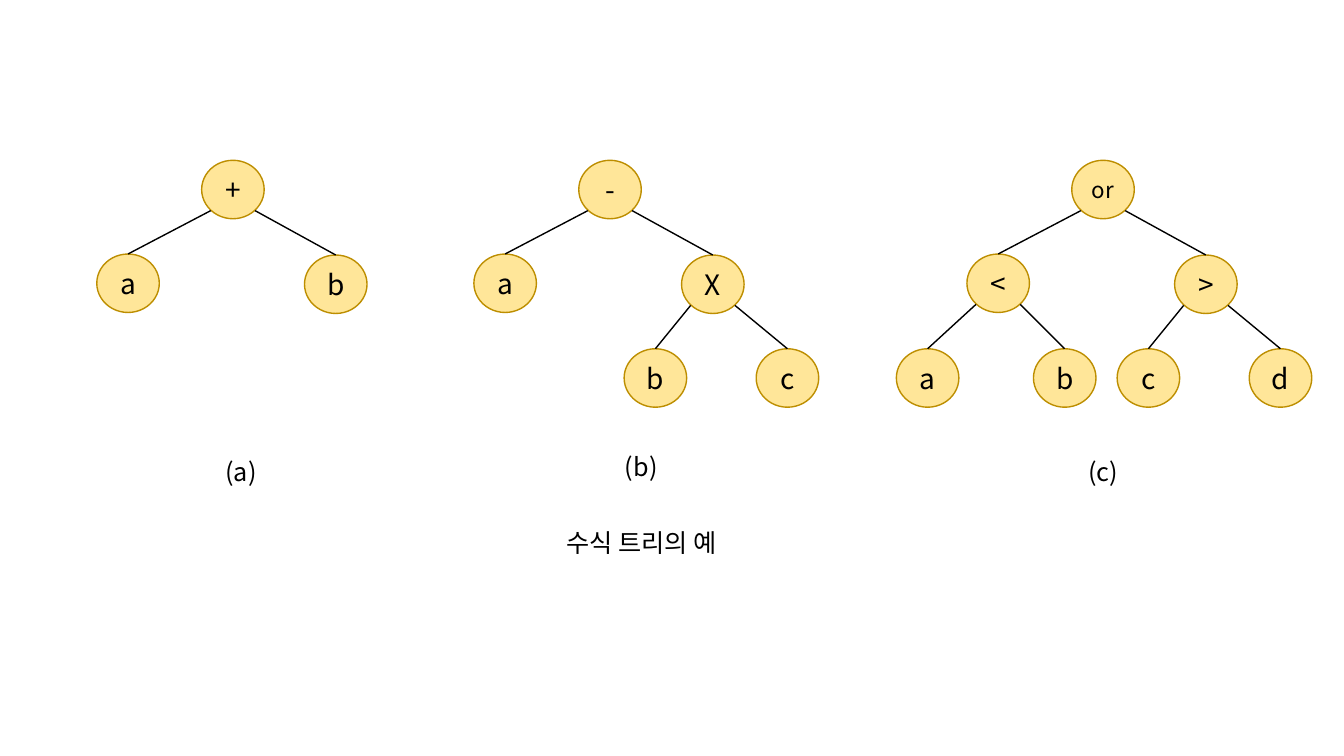
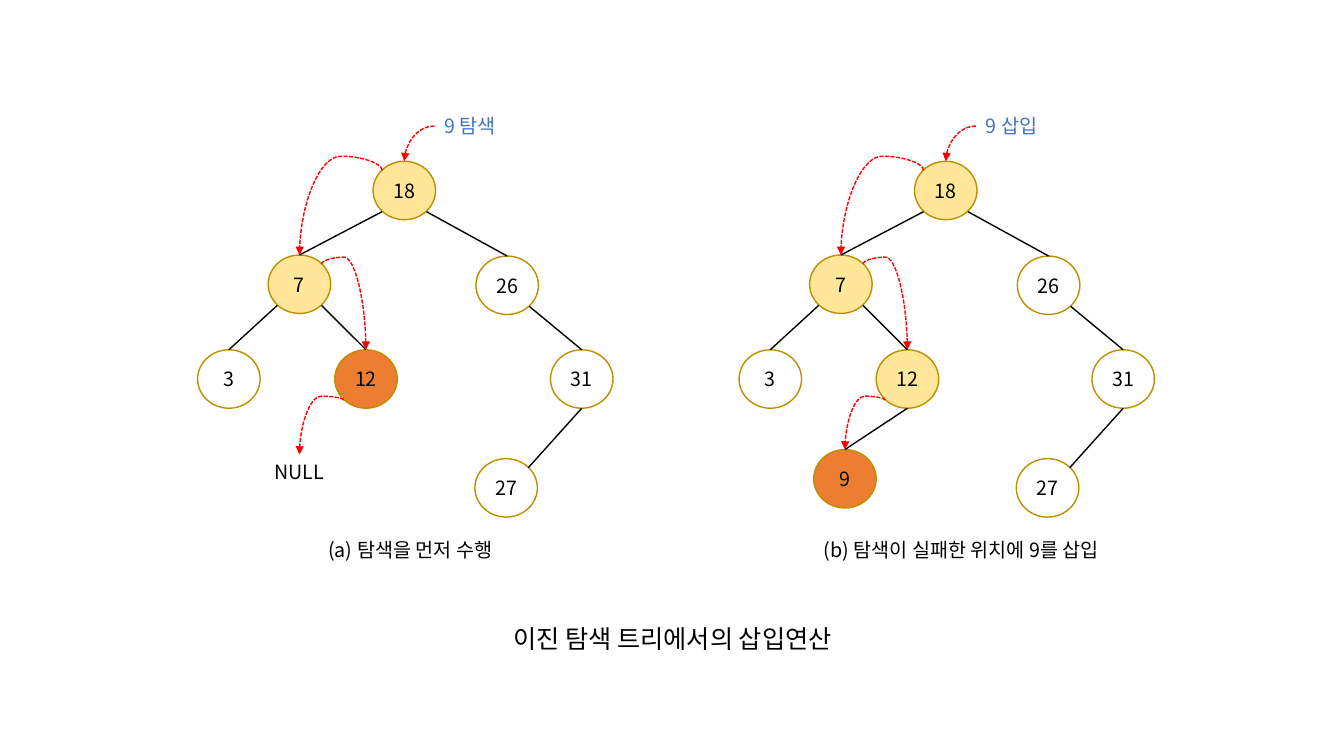
"""Build two slides of binary trees: expression trees and insertion into a search tree."""
from lxml import etree
from pptx import Presentation
from pptx.dml.color import RGBColor
from pptx.enum.dml import MSO_LINE
from pptx.enum.shapes import MSO_CONNECTOR, MSO_SHAPE
from pptx.enum.text import MSO_ANCHOR, MSO_AUTO_SIZE, PP_ALIGN
from pptx.oxml.ns import qn
from pptx.util import Pt

PX = 9144
SLIDE_WIDTH, SLIDE_HEIGHT = 1333, 750
FONT = "Noto Sans CJK KR"
BLACK = RGBColor(0x00, 0x00, 0x00)
RED = RGBColor(0xFF, 0x00, 0x00)
BLUE = RGBColor(0x44, 0x72, 0xC4)
YELLOW = RGBColor(0xFF, 0xE6, 0x99)
ORANGE = RGBColor(0xED, 0x7D, 0x31)
GOLD = RGBColor(0xBD, 0x8E, 0x00)

STRAIGHT, CURVE = MSO_CONNECTOR.STRAIGHT, MSO_CONNECTOR.CURVE
CIRCLE = MSO_SHAPE.FLOWCHART_CONNECTOR
DASH = MSO_LINE.SQUARE_DOT
LEFT, CENTER = PP_ALIGN.LEFT, PP_ALIGN.CENTER
MIDDLE = MSO_ANCHOR.MIDDLE
GROW = MSO_AUTO_SIZE.SHAPE_TO_FIT_TEXT

NODE_WIDTH, NODE_HEIGHT = 62, 58
TOP, BOTTOM = (31, 0), (31, 58)
TOP_LEFT, TOP_RIGHT = (9, 9), (53, 9)
BOTTOM_LEFT, BOTTOM_RIGHT = (9, 50), (53, 50)

# Each key spells the left and right turns from the root.
SLOTS = {
    "": (0, 0),
    "L": (-104, 93), "R": (102, 94),
    "LL": (-174, 187), "LR": (-38, 187), "RL": (45, 187), "RR": (176, 187),
    "LRL": (-100, 286), "RRL": (101, 295),
}

EXPRESSION_TREES = [
    ((200, 159), {"": "+", "L": "a", "R": "b"}),
    ((574, 159), {"": "-", "L": "a", "R": "X", "RL": "b", "RR": "c"}),
    ((1063, 159), {"": "or", "L": "<", "R": ">",
                   "LL": "a", "LR": "b", "RL": "c", "RR": "d"}),
]
EXPRESSION_TEXTS = [
    ("수식 트리의 예", 512, 518, 248),
    ("(a)", 115, 448, 248),
    ("(b)", 512, 443, 248),
    ("(c)", 970, 448, 248),
]

SEARCH_KEYS = {"": "18", "L": "7", "R": "26", "LL": "3", "LR": "12", "RR": "31", "RRL": "27"}
SEARCH_TREES = [
    {"root": (370, 160), "keys": SEARCH_KEYS, "action": "9 탐색",
     "fills": {"": YELLOW, "L": YELLOW, "LR": ORANGE}, "last_stop": (-73, 291)},
    {"root": (907, 160), "keys": {**SEARCH_KEYS, "LRL": "9"}, "action": "9 삽입",
     "fills": {"": YELLOW, "L": YELLOW, "LR": YELLOW, "LRL": ORANGE}, "last_stop": (-69, 286)},
]
SEARCH_CAPTIONS = [
    ("(a) 탐색을 먼저 수행", 258, 529, 298),
    ("(b) 탐색이 실패한 위치에 9를 삽입", 788, 529, 331),
    ("NULL", 220, 451, 154),
]
SEARCH_TITLE = ("이진 탐색 트리에서의 삽입연산", 463, 613, 408)


def shift(*points):
    return tuple(sum(values) for values in zip(*points))


def scaled(*lengths):
    return [round(length * PX) for length in lengths]


def write(shape, text, size, color=BLACK, align=CENTER):
    paragraph = shape.text_frame.paragraphs[0]
    paragraph.text = text
    paragraph.alignment = align
    run = paragraph.runs[0]
    run.font.size = Pt(size)
    run.font.color.rgb = color
    run.font.name = FONT
    etree.SubElement(run.font._element, qn("a:ea"), typeface=FONT)


def add_text(slide, text, left, top, width, size, color=BLACK, align=CENTER):
    height = 40 if size == 18 else 34
    box = slide.shapes.add_textbox(*scaled(left, top, width, height))
    box.text_frame.word_wrap = True
    box.text_frame.auto_size = GROW
    write(box, text, size, color, align)


def add_node(slide, position, text, size, fill):
    node = slide.shapes.add_shape(CIRCLE, *scaled(*position, NODE_WIDTH, NODE_HEIGHT))
    node.shadow.inherit = False
    if fill is None:
        node.fill.background()
    else:
        node.fill.solid()
        node.fill.fore_color.rgb = fill
    node.line.color.rgb = GOLD
    node.line.width = Pt(1)
    frame = node.text_frame
    frame.margin_left = frame.margin_right = frame.margin_top = frame.margin_bottom = 0
    frame.vertical_anchor = MIDDLE
    write(node, text, size)
    return node


def add_line(slide, start, end, color=BLACK, kind=STRAIGHT):
    line = slide.shapes.add_connector(kind, *scaled(*start, *end))
    line.line.color.rgb = color
    line.line.width = Pt(1)
    etree.SubElement(line._element.spPr, qn("a:effectLst"))
    return line


def add_search_arrow(slide, start, end, rise=None):
    """Draw a dashed arrow that first climbs by rise, or bends once without it."""
    arrow = add_line(slide, start, end, RED, CURVE)
    arrow.line.dash_style = DASH
    properties = arrow._element.spPr
    etree.SubElement(properties.find(qn("a:ln")), qn("a:tailEnd"), type="triangle")
    geometry = properties.find(qn("a:prstGeom"))
    if rise is None:
        geometry.set("prst", "curvedConnector2")
        return
    width, height = abs(end[0] - start[0]), end[1] - start[1]
    center_x, center_y = (start[0] + end[0]) / 2, (start[1] + end[1]) / 2
    arrow.left, arrow.top, arrow.width, arrow.height = scaled(
        center_x - height / 2, center_y - width / 2, height, width)
    rightward = end[0] > start[0]
    transform = properties.find(qn("a:xfrm"))
    transform.set("rot", str((270 if rightward else 90) * 60000))
    transform.set("flipH", "1" if rightward else "0")
    adjustments = geometry.find(qn("a:avLst"))
    if adjustments is None:
        adjustments = etree.SubElement(geometry, qn("a:avLst"))
    etree.SubElement(adjustments, qn("a:gd"), name="adj1",
                     fmla=f"val {round(-rise / height * 100000)}")


def add_tree(slide, root, labels, sizes, fills):
    places = {path: shift(root, SLOTS[path]) for path in labels}
    nodes = {path: add_node(slide, places[path], text, sizes(text), fills.get(path))
             for path, text in labels.items()}
    for path in filter(None, labels):
        if len(path) == 3:
            exit_point = BOTTOM
        else:
            exit_point = BOTTOM_LEFT if path.endswith("L") else BOTTOM_RIGHT
        entry_point = TOP_RIGHT if path == "RRL" else TOP
        edge = add_line(slide, shift(places[path[:-1]], exit_point),
                        shift(places[path], entry_point))
        if entry_point == TOP:
            edge.end_connect(nodes[path], 0)


def add_expression_slide(slide):
    for root, labels in EXPRESSION_TREES:
        add_tree(slide, root, labels, lambda text: 16 if text == "or" else 20,
                 dict.fromkeys(labels, YELLOW))
    for caption in EXPRESSION_TEXTS:
        add_text(slide, *caption, 18)


def add_insertion_slide(slide):
    for tree in SEARCH_TREES:
        root = tree["root"]
        add_tree(slide, root, tree["keys"], lambda text: 14, tree["fills"])
        add_text(slide, tree["action"], *shift(root, (61, -52)), 93, 14, BLUE, LEFT)
        left, left_right = shift(root, SLOTS["L"]), shift(root, SLOTS["LR"])
        add_search_arrow(slide, shift(root, (61, -35)), shift(root, TOP))
        add_search_arrow(slide, shift(root, TOP_LEFT), shift(left, TOP), 14)
        add_search_arrow(slide, shift(left, TOP_RIGHT), shift(left_right, TOP), 7)
        add_search_arrow(slide, shift(left_right, BOTTOM_LEFT),
                         shift(root, tree["last_stop"]), 4)
    for caption in SEARCH_CAPTIONS:
        add_text(slide, *caption, 14)
    add_text(slide, *SEARCH_TITLE, 18)


def main():
    presentation = Presentation()
    presentation.slide_width, presentation.slide_height = scaled(SLIDE_WIDTH, SLIDE_HEIGHT)
    for build in (add_expression_slide, add_insertion_slide):
        build(presentation.slides.add_slide(presentation.slide_layouts[6]))
    presentation.save("out.pptx")


if __name__ == "__main__":
    main()
